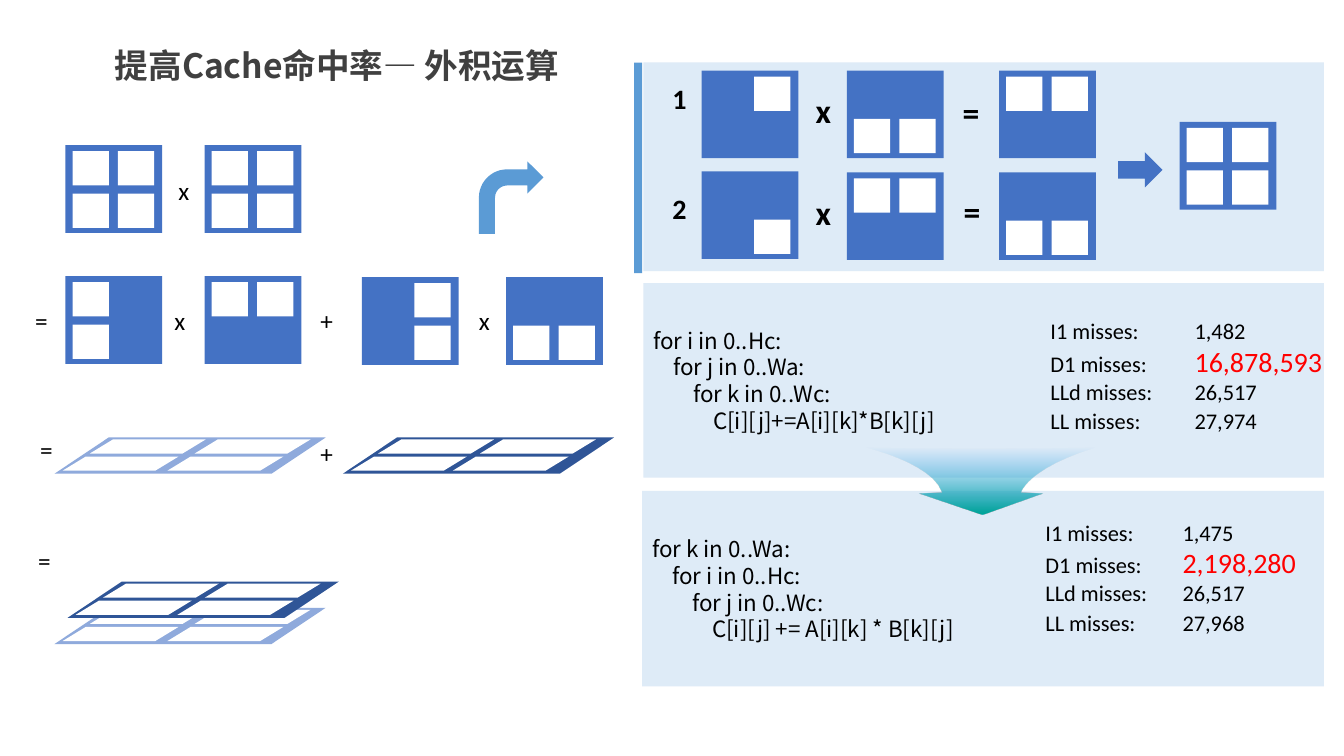
from lxml import etree
from pptx import Presentation
from pptx import util as u
from pptx.dml.color import RGBColor
from pptx.enum import shapes, text
from pptx.oxml.ns import qn

PX = u.Inches(0.01)
KIND = shapes.MSO_SHAPE
COLORS = {
    "panel": "DEEBF7", "matrix": "4472C4", "white": "FFFFFF", "accent": "5B9BD5",
    "light": "8FAADC", "dark": "2F5597", "black": "000000", "title": "404040",
    "alert": "FF0000",
}


def add_filled(kind, color, left, top, width, height):
    """Add a preset shape with a plain fill, no outline and no shadow."""
    shape = slide.shapes.add_shape(kind, left * PX, top * PX, width * PX, height * PX)
    shape.shadow.inherit = False
    shape.fill.solid()
    shape.fill.fore_color.rgb = RGBColor.from_string(COLORS[color])
    shape.line.fill.background()
    return shape


def style(paragraph, size, color="black", name="Calibri", bold=False):
    paragraph.alignment = text.PP_ALIGN.LEFT
    paragraph.font.size = u.Pt(size)
    paragraph.font.bold = bold
    paragraph.font.color.rgb = RGBColor.from_string(COLORS[color])
    paragraph.font.name = name
    if name != "Calibri":
        properties = paragraph._p.pPr.find(qn("a:defRPr"))
        etree.SubElement(properties, qn("a:ea"), typeface=name)


presentation = Presentation()
presentation.slide_width = 1333 * PX
presentation.slide_height = 750 * PX
slide = presentation.slides.add_slide(presentation.slide_layouts[6])

# Title
title = slide.shapes.add_textbox(104 * PX, 40 * PX, 621 * PX, 50 * PX).text_frame
title.word_wrap = True
title.text = "提高Cache命中率— 外积运算"
style(title.paragraphs[0], 24, "title", "Noto Sans CJK SC", True)

# Panels on the right, two of them with loop code
add_filled(KIND.RECTANGLE, "panel", 638, 62, 675, 207)
add_filled(KIND.RECTANGLE, "accent", 629, 62, 8, 209)
loops = [
    (638, 281, 675, 193, ["for i in 0..Hc:", "    for j in 0..Wa:", "        for k in 0..Wc:",
                          "            C[i][j]+=A[i][k]*B[k][j]"]),
    (637, 487, 676, 194, ["for k in 0..Wa:", "    for i in 0..Hc:", "        for j in 0..Wc:",
                          "            C[i][j] += A[i][k] * B[k][j]"]),
]
for left, top, width, height, lines in loops:
    frame = add_filled(KIND.RECTANGLE, "panel", left, top, width, height).text_frame
    frame.word_wrap = True
    frame.vertical_anchor = text.MSO_ANCHOR.MIDDLE
    frame.text = "\n".join(lines)
    for paragraph in frame.paragraphs:
        style(paragraph, 16, name="Noto Sans CJK SC")

# Cache misses, values aligned on a tab stop
miss_names = ["I1 misses:", "D1 misses:", "LLd misses:", "LL misses:"]
misses = [
    (32 + 1000, 310, 301, 143, ["1,482", "16,878,593", "26,517", "27,974"]),
    (27 + 1000, 510, 285, 136, ["1,475", "2,198,280", "26,517", "27,968"]),
]
for left, top, width, tab, values in misses:
    frame = slide.shapes.add_textbox(left * PX, top * PX, width * PX, 134 * PX).text_frame
    frame.word_wrap = True
    for row, (name, value) in enumerate(zip(miss_names, values)):
        paragraph = frame.paragraphs[0] if row == 0 else frame.add_paragraph()
        tabs = etree.SubElement(paragraph._p.get_or_add_pPr(), qn("a:tabLst"))
        etree.SubElement(tabs, qn("a:tab"), pos=str(tab * PX), algn="l")
        style(paragraph, 16)
        paragraph.add_run().text = name + "\t"
        run = paragraph.add_run()
        run.text = value
        if row == 1:
            run.font.size = u.Pt(20)
            run.font.color.rgb = RGBColor.from_string(COLORS["alert"])
        if row == 3:
            paragraph.space_before = u.Pt(2)

# Matrices of 2 by 2 blocks, listed with their white (row, column) blocks
TOP, BOTTOM = [(0, 0), (0, 1)], [(1, 0), (1, 1)]
LEFT, RIGHT = [(0, 0), (1, 0)], [(0, 1), (1, 1)]
matrices = [
    (65, 144, TOP + BOTTOM), (203, 144, TOP + BOTTOM),
    (65, 274, LEFT), (203, 274, TOP), (359, 275, RIGHT), (502, 275, BOTTOM),
    (696, 70, [(0, 1)]), (840, 70, BOTTOM), (991, 70, TOP),
    (696, 170, [(1, 1)]), (840, 171, TOP), (991, 171, BOTTOM),
    (1170, 121, TOP + BOTTOM),
]
for left, top, blocks in matrices:
    add_filled(KIND.RECTANGLE, "matrix", left, top, 96, 87)
    for row, column in blocks:
        add_filled(KIND.RECTANGLE, "white", left + 7 + 45 * column, top + 6 + 42 * row, 36, 34)

# Slanted result sheets
sheets = [(54, 434, "light", 104), (340, 434, "dark", 101),
          (54, 603, "light", 104), (67, 577, "dark", 101)]
for left, top, color, pitch in sheets:
    add_filled(KIND.FLOWCHART_DATA, color, left, top, 269, 36)
    for row, column in TOP + BOTTOM:
        add_filled(KIND.FLOWCHART_DATA, "white",
                   left + 35 - 27 * row + pitch * column, top + 2 + 17 * row, 115, 14)

# Operators and row numbers
marks = [
    ("x", 167, 169, 18), ("=", 25, 298, 18), ("x", 163, 298, 18), ("+", 308, 298, 18),
    ("x", 465, 298, 18), ("=", 30, 426, 18), ("+", 308, 430, 18), ("=", 28, 536, 18),
    ("1", 657, 76, 20), ("x", 799, 84, 24), ("=", 945, 86, 24),
    ("2", 657, 185, 20), ("x", 799, 185, 24), ("=", 946, 184, 24),
]
for mark, left, top, size in marks:
    frame = slide.shapes.add_textbox(left * PX, top * PX, 38 * PX, 41 * PX).text_frame
    frame.word_wrap = True
    frame.text = mark
    style(frame.paragraphs[0], size, bold=size > 18)

# Arrows
add_filled(KIND.BENT_ARROW, "accent", 475, 160, 64, 72)
add_filled(KIND.RIGHT_ARROW, "matrix", 1109, 151, 44, 35)

# Flared arrow between the code panels: curves as four points, straight parts as one
segments = [
    [(857, 444), (857, 444), (924, 459), (934, 488)],
    [(911, 489)], [(974, 510)], [(1034, 489)],
    [(1012, 488), (1012, 488), (1019, 464), (1087, 444)],
    [(1087, 444), (957, 447), (857, 444), (857, 444)],
]
STEPS = 12
outline = []
for points in segments:
    if len(points) == 1:
        outline += points
        continue
    for step in range(STEPS + 1):
        t = step / STEPS
        weights = [(1 - t) ** 3, 3 * t * (1 - t) ** 2, 3 * t * t * (1 - t), t ** 3]
        outline.append(tuple(sum(w * p[axis] for w, p in zip(weights, points))
                             for axis in (0, 1)))
outline = [(round(x * PX), round(y * PX)) for x, y in outline]
builder = slide.shapes.build_freeform(*outline[0], scale=1.0)
builder.add_line_segments(outline[1:], close=True)
flare = builder.convert_to_shape()
flare.shadow.inherit = False
flare.line.fill.background()
flare.fill.gradient()
flare.fill.gradient_angle = 270
stops = flare._element.spPr.find(".//" + qn("a:gsLst"))
for stop in list(stops):
    stops.remove(stop)
for percent, color, opacity in [(0, "2298F0", 0), (98, "00A499", 100), (100, "00C0C3", 100)]:
    stop = etree.SubElement(stops, qn("a:gs"), pos=str(percent * 1000))
    fill = etree.SubElement(stop, qn("a:srgbClr"), val=color)
    etree.SubElement(fill, qn("a:alpha"), val=str(opacity * 1000))

presentation.save("out.pptx")
